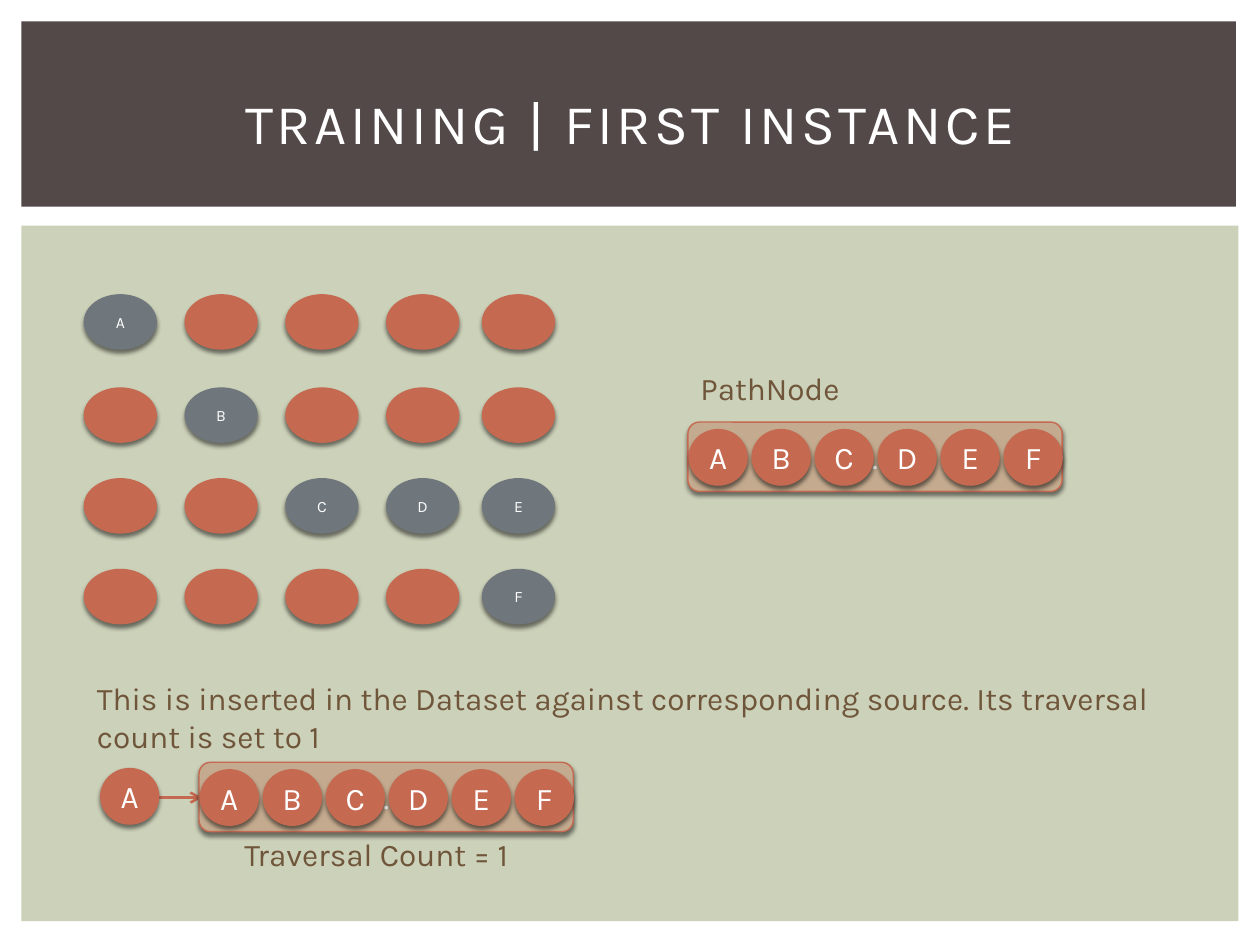
from lxml import etree
from pptx import Presentation, util as u
from pptx.dml.color import RGBColor
from pptx.enum import shapes, text
from pptx.oxml.ns import qn

WHITE = RGBColor(0xFF, 0xFF, 0xFF)
BLACK = RGBColor(0, 0, 0)
SAGE = RGBColor(0xCC, 0xD1, 0xB9)
UMBER = RGBColor(0x53, 0x49, 0x49)
RUST = RGBColor(0xC6, 0x69, 0x51)
SLATE = RGBColor(0x6F, 0x77, 0x7D)
TAN = RGBColor(0xC4, 0xAB, 0x8F)
BROWN = RGBColor(0x6F, 0x56, 0x3B)

FONT = "Karla"
TITLE = "TRAINING | FIRST INSTANCE"
PANELS = [((0.17, 1.79, 9.66, 5.52), SAGE), ((0.17, 0.17, 9.64, 1.47), UMBER)]
GRID = ["A    ", " B   ", "  CDE", "    F"]
GRID_COLUMNS = [0.67, 1.47, 2.27, 3.07, 3.83]
GRID_ROWS = [2.34, 3.08, 3.8, 4.52]
GRID_NODE = (0.57, 0.43)
PATH = "ABCDEF"
PATH_NODE = (0.46, 0.44)
PATH_STEP = 0.5
PATH_BOX = (2.97, 0.55)
PATHS = [(5.46, 3.35), (1.58, 6.05)]
SOURCE = ("A", 0.8, 6.1)
ARROW = (1.26, 6.33, 1.6, 6.33)
CAPTIONS = [
    ("PathNode", (5.46, 2.88, 1.39, 0.4)),
    ("This is inserted in the Dataset against corresponding source. "
     "Its traversal count is set to 1", (0.67, 5.34, 8.92, 0.71)),
    ("Traversal Count = 1", (1.84, 6.58, 2.71, 0.4)),
]

presentation = Presentation()
presentation.slide_width, presentation.slide_height = u.Inches(10), u.Inches(7.5)
slide = presentation.slides.add_slide(presentation.slide_layouts[6])
Kind = shapes.MSO_SHAPE


def inches(values):
    return [u.Inches(value) for value in values]


def apply(target, values):
    for name, value in values.items():
        setattr(target, name, value)


def write(shape, words, size, color, align, anchor):
    apply(shape.text_frame, {"word_wrap": True, "vertical_anchor": anchor})
    paragraph = shape.text_frame.paragraphs[0]
    paragraph.alignment = align
    run = paragraph.add_run()
    run.text = words
    apply(run.font, {"name": FONT, "size": u.Pt(size)})
    run.font.color.rgb = color
    return run


def add_shadow(shape):
    effects = etree.SubElement(shape._element.spPr, qn("a:effectLst"))
    shadow = etree.SubElement(effects, qn("a:outerShdw"), blurRad=str(u.Pt(2.5)),
                              dist=str(u.Pt(2)), dir="5400000", rotWithShape="0")
    color = etree.SubElement(shadow, qn("a:srgbClr"), val=str(BLACK))
    etree.SubElement(color, qn("a:alpha"), val="50000")


def add_block(kind, box, fill, line=None, words="", size=18):
    shape = slide.shapes.add_shape(kind, *inches(box))
    shape.fill.solid()
    shape.fill.fore_color.rgb = fill
    if line is None:
        shape.line.fill.background()
        shape.shadow.inherit = False
    else:
        shape.line.color.rgb = line
        shape.line.width = u.Pt(0.79)
        add_shadow(shape)
    if words:
        apply(shape.text_frame, dict.fromkeys(
            ("margin_left", "margin_right", "margin_top", "margin_bottom"), 0))
        write(shape, words, size, WHITE, text.PP_ALIGN.CENTER, text.MSO_ANCHOR.MIDDLE)
    return shape


def add_node(words, left, top, size=PATH_NODE, fill=RUST, points=18):
    add_block(Kind.OVAL, (left, top, *size), fill, fill, words, points)


def add_path(left, top):
    add_block(Kind.ROUNDED_RECTANGLE, (left, top, *PATH_BOX), TAN, RUST, ".")
    for index, letter in enumerate(PATH):
        add_node(letter, left + 0.01 + index * PATH_STEP, top + 0.06)


for box, color in PANELS:
    add_block(Kind.RECTANGLE, box, color)

title = slide.shapes.add_textbox(*inches((0.42, 0.39, 9.17, 1.15)))
title_run = write(title, TITLE, 32, WHITE, text.PP_ALIGN.CENTER, text.MSO_ANCHOR.MIDDLE)
title_run.font._element.set("spc", "200")

for top, letters in zip(GRID_ROWS, GRID):
    for left, letter in zip(GRID_COLUMNS, letters):
        visited = letter.strip()
        add_node(visited, left, top, GRID_NODE, SLATE if visited else RUST, 9)

for words, box in CAPTIONS:
    caption = slide.shapes.add_textbox(*inches(box))
    write(caption, words, 18, BROWN, text.PP_ALIGN.LEFT, text.MSO_ANCHOR.TOP)

arrow = slide.shapes.add_connector(shapes.MSO_CONNECTOR.STRAIGHT, *inches(ARROW))
arrow.line.color.rgb = RUST
arrow.line.width = u.Pt(1.5)
etree.SubElement(arrow.line._get_or_add_ln(), qn("a:tailEnd"), type="arrow")
etree.SubElement(arrow._element.spPr, qn("a:effectLst"))

add_node(*SOURCE)
for corner in PATHS:
    add_path(*corner)

presentation.save("out.pptx")
